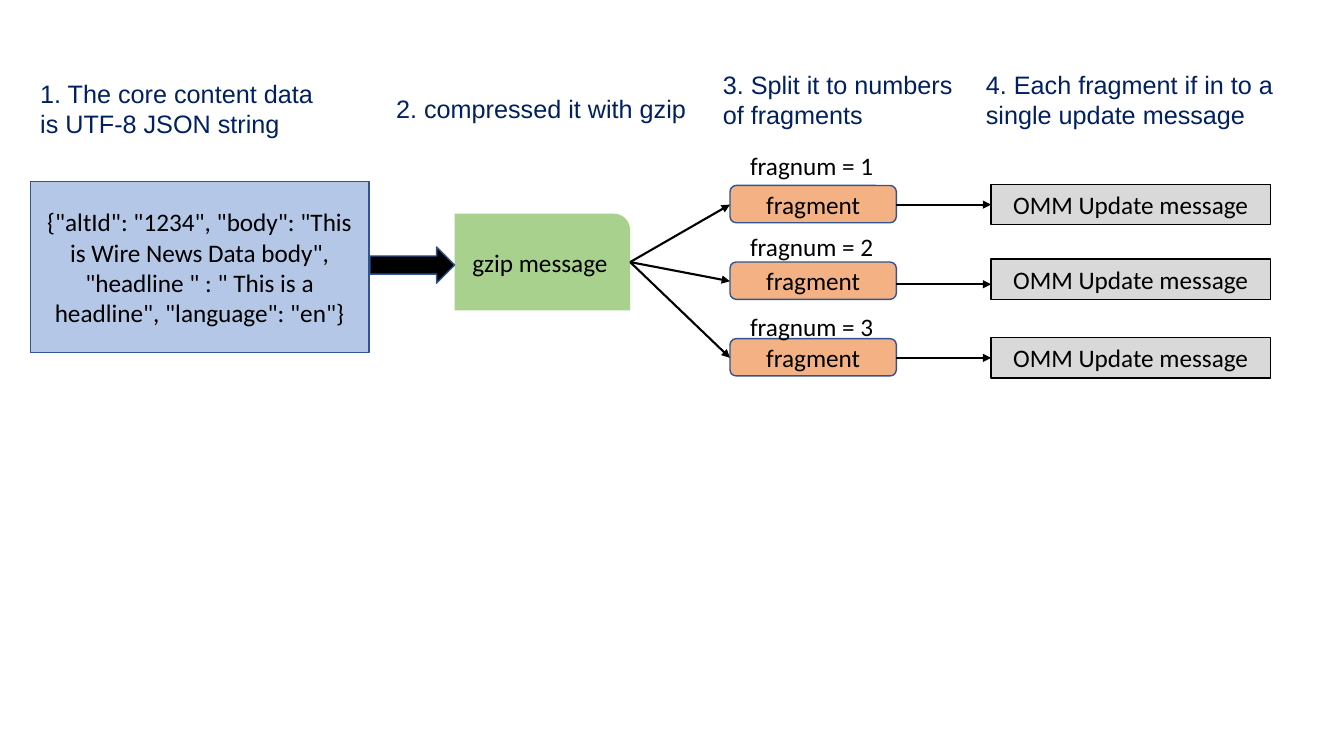
from dataclasses import dataclass
from typing import Optional

from lxml.etree import SubElement
from pptx import Presentation
from pptx.dml.color import RGBColor
from pptx.enum.shapes import MSO_CONNECTOR, MSO_SHAPE
from pptx.enum.text import MSO_ANCHOR, MSO_AUTO_SIZE, PP_ALIGN
from pptx.oxml.ns import qn
from pptx.util import Emu, Pt

EMU_PER_PX = 9144  # 100 px to the inch
BLACK, NAVY, OUTLINE = "000000", "002060", "325491"
BLUE, GREEN, ORANGE, GREY = "B4C7E7", "A9D18E", "F4B183", "D9D9D9"


@dataclass(frozen=True)
class Block:
    kind: MSO_SHAPE
    left: int
    top: int
    width: int
    height: int
    fill: str
    line: Optional[str] = OUTLINE
    text: str = ""


@dataclass(frozen=True)
class Label:
    left: int
    top: int
    width: int
    height: int
    text: str
    font: str = "Arial"
    color: str = NAVY


@dataclass(frozen=True)
class FragmentRow:
    """Heights at which the parts of one fragment's row stand."""
    label_top: int
    fragment_top: int
    message_top: int
    fan_end: int
    link: int


JSON_TEXT = ('{"altId": "1234", "body": "This is Wire News Data body", '
             '"headline " : " This is a headline", "language": "en"}')
STAGES = [
    Block(MSO_SHAPE.RECTANGLE, 30, 180, 336, 170, BLUE, text=JSON_TEXT),
    Block(MSO_SHAPE.ROUND_1_RECTANGLE, 451, 212, 174, 96, GREEN, None, "gzip message"),
    Block(MSO_SHAPE.RIGHT_ARROW, 367, 245, 84, 36, BLACK),
]
HEADINGS = [
    Label(30, 73, 309, 71, "1. The core content data is UTF-8 JSON string"),
    Label(383, 88, 309, 40, "2. compressed it with gzip"),
    Label(707, 64, 248, 71, "3. Split it to numbers of fragments"),
    Label(968, 64, 309, 71, "4. Each fragment if in to a single update message"),
]
ROWS = [
    FragmentRow(144, 184, 183, 203, 203),
    FragmentRow(225, 260, 257, 279, 282),
    FragmentRow(304, 336, 335, 355, 355),
]
FAN_START = (625, 260)
FRAGMENT_LEFT, FRAGMENT_WIDTH = 724, 165
FRAGMENT_RIGHT = FRAGMENT_LEFT + FRAGMENT_WIDTH
MESSAGE_LEFT = 983


def px(length: int) -> Emu:
    return Emu(length * EMU_PER_PX)


def rgb(color: str) -> RGBColor:
    return RGBColor.from_string(color)


def write(shape, text: str, font: str, color: str, frame_format: dict, align: PP_ALIGN) -> None:
    frame = shape.text_frame
    for name, value in frame_format.items():
        setattr(frame, name, value)
    para = frame.paragraphs[0]
    para.alignment = align
    span = para.add_run()
    span.text = text
    for name, value in {"name": font, "size": Pt(18)}.items():
        setattr(span.font, name, value)
    span.font.color.rgb = rgb(color)


def draw_block(page, block: Block) -> None:
    box = page.shapes.add_shape(block.kind, px(block.left), px(block.top),
                                px(block.width), px(block.height))
    box.shadow.inherit = False
    box.fill.solid()
    box.fill.fore_color.rgb = rgb(block.fill)
    if block.line:
        box.line.color.rgb = rgb(block.line)
        box.line.width = Pt(1)
    else:
        box.line.fill.background()
    if block.text:
        write(box, block.text, "Calibri", BLACK,
              {"word_wrap": True, "vertical_anchor": MSO_ANCHOR.MIDDLE}, PP_ALIGN.CENTER)


def draw_label(page, label: Label) -> None:
    box = page.shapes.add_textbox(px(label.left), px(label.top),
                                  px(label.width), px(label.height))
    write(box, label.text, label.font, label.color,
          {"word_wrap": True, "auto_size": MSO_AUTO_SIZE.SHAPE_TO_FIT_TEXT}, PP_ALIGN.LEFT)


def draw_arrow(page, start: tuple[int, int], end: tuple[int, int]) -> None:
    arrow = page.shapes.add_connector(MSO_CONNECTOR.STRAIGHT, *map(px, start + end))
    arrow.line.color.rgb = rgb(BLACK)
    arrow.line.width = Pt(1.5)
    SubElement(arrow.line._get_or_add_ln(), qn("a:tailEnd"), type="triangle")
    SubElement(arrow._element.spPr, qn("a:effectLst"))


def draw_row(page, number: int, row: FragmentRow) -> None:
    draw_block(page, Block(MSO_SHAPE.ROUNDED_RECTANGLE, FRAGMENT_LEFT, row.fragment_top,
                           FRAGMENT_WIDTH, 37, ORANGE, text="fragment"))
    draw_label(page, Label(734, row.label_top, 165, 40, f"fragnum = {number}",
                           "Calibri", BLACK))
    draw_block(page, Block(MSO_SHAPE.RECTANGLE, MESSAGE_LEFT, row.message_top,
                           277, 40, GREY, BLACK, "OMM Update message"))
    draw_arrow(page, FAN_START, (FRAGMENT_LEFT, row.fan_end))
    draw_arrow(page, (FRAGMENT_RIGHT, row.link), (MESSAGE_LEFT, row.link))


def main() -> None:
    deck = Presentation()
    deck.slide_width, deck.slide_height = px(1333), px(750)
    page = deck.slides.add_slide(deck.slide_layouts[6])
    for stage in STAGES:
        draw_block(page, stage)
    for number, row in enumerate(ROWS, start=1):
        draw_row(page, number, row)
    for heading in HEADINGS:
        draw_label(page, heading)
    deck.save("out.pptx")


if __name__ == "__main__":
    main()
